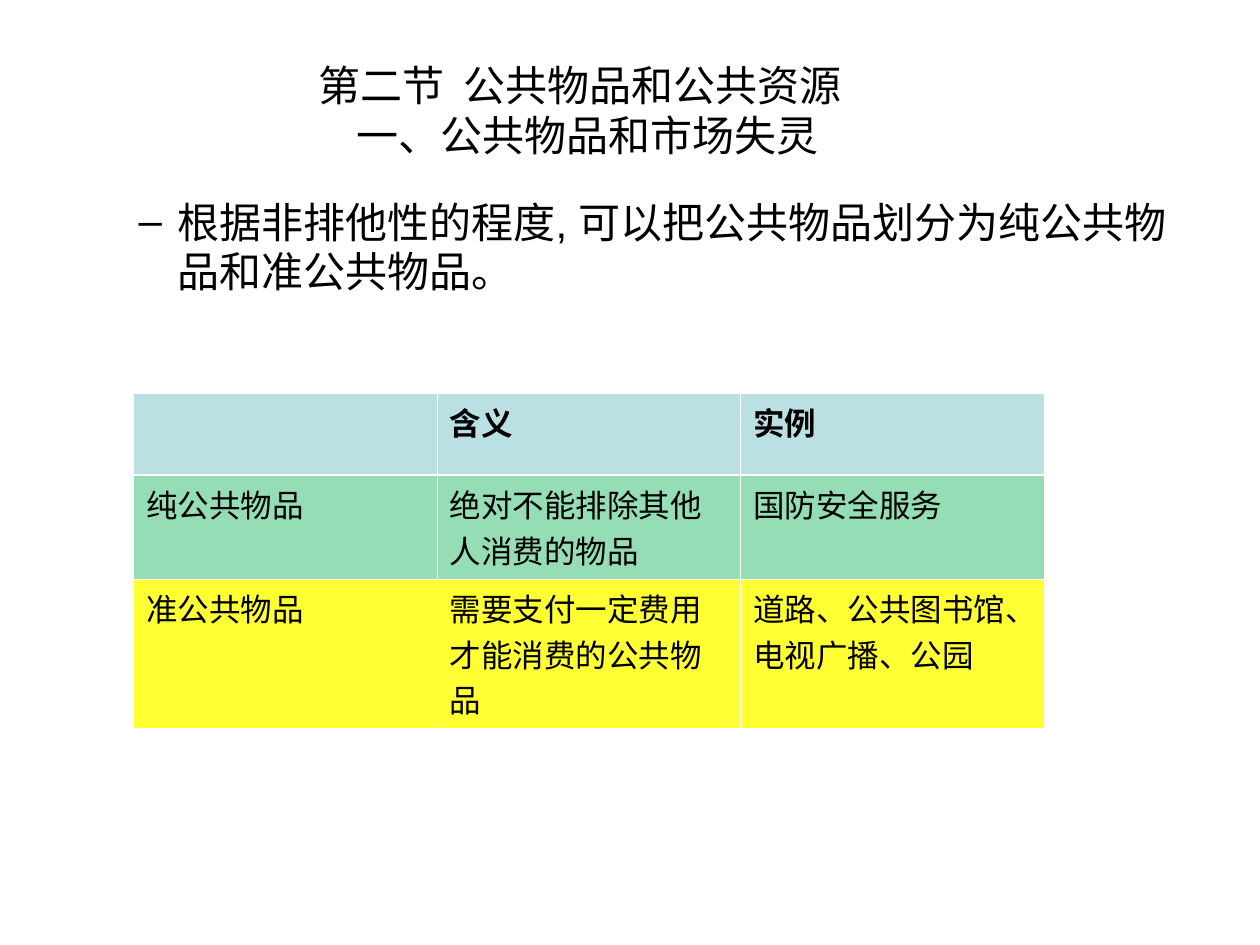
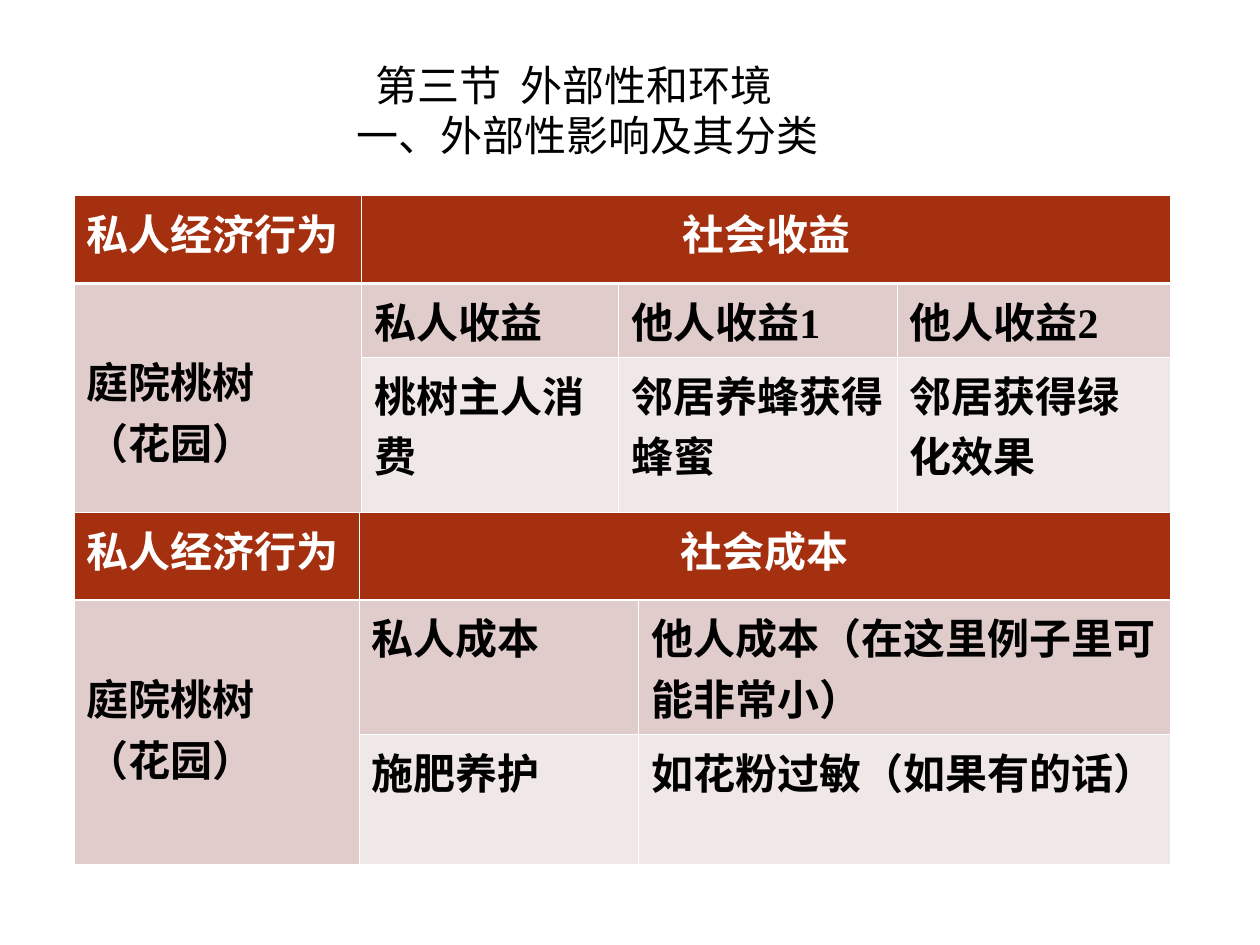
from lxml import etree
from pptx import Presentation
from pptx import util as u
from pptx.dml.color import RGBColor
from pptx.enum import text
from pptx.oxml.ns import qn

BLACK, WHITE = "000000", "FFFFFF"
BLUE, GREEN, YELLOW = "BBE0E3", "00B050", "FFFF00"
RUST, ROSE, PALE = "A53010", "E0CCCB", "F0E7E7"
ASIAN = "Noto Sans CJK SC"
THIN, THICK = 0.45, 1.47
TREE = "庭院桃树\n（花园）"


def paint(fill, code, alpha=100):
    """Give a fill one solid colour, with an opacity in percent."""
    fill.solid()
    fill.fore_color.rgb = RGBColor.from_string(code)
    if alpha < 100:
        tone = fill._xPr.find(".//" + qn("a:srgbClr"))
        etree.SubElement(tone, qn("a:alpha"), val=str(alpha * 1000))


def style(par, face, size, code=BLACK, bold=False):
    """Set the font of a paragraph, for both scripts."""
    font = par.font
    font.name, font.size, font.bold = face, u.Pt(size), bold
    paint(font.fill, code)
    props = par._p.pPr.find(qn("a:defRPr"))
    etree.SubElement(props, qn("a:ea"), typeface=ASIAN)


def inset(par, left, first=0):
    """Indent a paragraph, with fixed line spacing."""
    par.line_spacing, par.space_before = u.Pt(28.5), u.Pt(0)
    props = par._p.get_or_add_pPr()
    props.set("marL", str(u.Inches(left)))
    props.set("indent", str(u.Inches(first)))


def place(shape, box):
    """Move a shape to a box given in inches."""
    shape.left, shape.top, shape.width, shape.height = map(u.Inches, box)


def add_title(slide, lines):
    """Fill the title with lines, each with its own indent."""
    place(slide.shapes.title, (0.5, 0.4, 9, 0.94))
    frame = slide.shapes.title.text_frame
    frame.auto_size = text.MSO_AUTO_SIZE.NONE
    frame.vertical_anchor = text.MSO_ANCHOR.MIDDLE
    frame.text = "\n".join(line for line, _ in lines)
    for par, (_, left) in zip(frame.paragraphs, lines):
        par.alignment = text.PP_ALIGN.LEFT
        inset(par, left)
        style(par, ASIAN, 24)


def add_point(slide, words, box):
    """Fill the body with one dashed point."""
    body = slide.placeholders[1]
    place(body, box)
    frame = body.text_frame
    frame.auto_size = text.MSO_AUTO_SIZE.NONE
    frame.text = words
    par = frame.paragraphs[0]
    par.level = 1
    inset(par, 0.81, -0.31)
    etree.SubElement(par._p.pPr, qn("a:buChar"), char="–")
    style(par, "Arial", 24)


def edge(cell, row):
    """Draw white cell borders, thick below the header row."""
    top = THICK if row == 1 else THIN
    low = THICK if row == 0 else THIN
    sides = zip("LRTB", (THIN, THIN, top, low))
    for spot, (side, width) in enumerate(sides):
        line = etree.Element(qn("a:ln" + side), w=str(u.Pt(width)))
        fill = etree.SubElement(line, qn("a:solidFill"))
        etree.SubElement(fill, qn("a:srgbClr"), val=WHITE)
        cell._tc.get_or_add_tcPr().insert(spot, line)


def add_grid(slide, spot, cols, rows, data, fills, face, size, head, bold):
    """Add a table at a spot, with one fill for each row."""
    left, top = spot
    area = map(u.Inches, (left, top, sum(cols), sum(rows)))
    grid = slide.shapes.add_table(len(rows), len(cols), *area).table
    grid.first_row = grid.horz_banding = False
    for col, width in zip(grid.columns, cols):
        col.width = u.Inches(width)
    for row, height in zip(grid.rows, rows):
        row.height = u.Inches(height)
    for r, line in enumerate(data):
        for c, words in enumerate(line):
            cell = grid.cell(r, c)
            paint(cell.fill, *fills[r])
            edge(cell, r)
            if words:
                cell.text = words
                for par in cell.text_frame.paragraphs:
                    style(par, face, size, BLACK if r else head, bold or r == 0)
    return grid


def add_effect(slide, top, cols, rows, data):
    """Add a table with a merged heading and a merged first column."""
    grid = add_grid(slide, (0.59, top), cols, rows, data,
                    [(RUST,), (ROSE,), (PALE,)], "Times New Roman", 24, WHITE, True)
    grid.cell(0, 1).merge(grid.cell(0, len(cols) - 1))
    grid.cell(0, 1).text_frame.paragraphs[0].alignment = text.PP_ALIGN.CENTER
    grid.cell(1, 0).merge(grid.cell(2, 0))
    grid.cell(1, 0).margin_top = u.Inches(0.53)


def goods(deck):
    """Build the slide on public goods."""
    slide = deck.slides.add_slide(deck.slide_layouts[1])
    add_title(slide, [("第二节  公共物品和公共资源", 1.93),
                      ("一、公共物品和市场失灵", 2.23)])
    add_point(slide, "根据非排他性的程度, 可以把公共物品划分为纯公共物品和准公共物品。",
              (0.5, 1.51, 9, 4.92))
    data = [["", "含义", "实例"],
            ["纯公共物品", "绝对不能排除其他人消费的物品", "国防安全服务"],
            ["准公共物品", "需要支付一定费用才能消费的公共物品", "道路、公共图书馆、电视广播、公园"]]
    add_grid(slide, (1.06, 3.12), [2.41] * 3, [0.65, 0.7, 1], data,
             [(BLUE,), (GREEN, 42), (YELLOW, 80)], "Arial", 18, BLACK, False)


def effects(deck):
    """Build the slide on side effects."""
    slide = deck.slides.add_slide(deck.slide_layouts[5])
    add_title(slide, [("第三节  外部性和环境", 2.38),
                      ("一、外部性影响及其分类", 2.23)])
    add_effect(slide, 1.55, [2.28, 2.04, 2.21, 2.17], [0.7, 0.53, 1.32],
               [["私人经济行为", "社会收益", "", ""],
                [TREE, "私人收益", "他人收益1", "他人收益2"],
                ["", "桃树主人消费", "邻居养蜂获得蜂蜜", "邻居获得绿化效果"]])
    add_effect(slide, 4.07, [2.26, 2.22, 4.22], [0.69, 1.03, 1.03],
               [["私人经济行为", "社会成本", ""],
                [TREE, "私人成本", "他人成本（在这里例子里可能非常小）"],
                ["", "施肥养护", "如花粉过敏（如果有的话）"]])


def main():
    """Build and save the deck."""
    deck = Presentation()
    deck.slide_width, deck.slide_height = u.Inches(10), u.Inches(7.5)
    goods(deck)
    effects(deck)
    deck.save("out.pptx")


if __name__ == "__main__":
    main()
